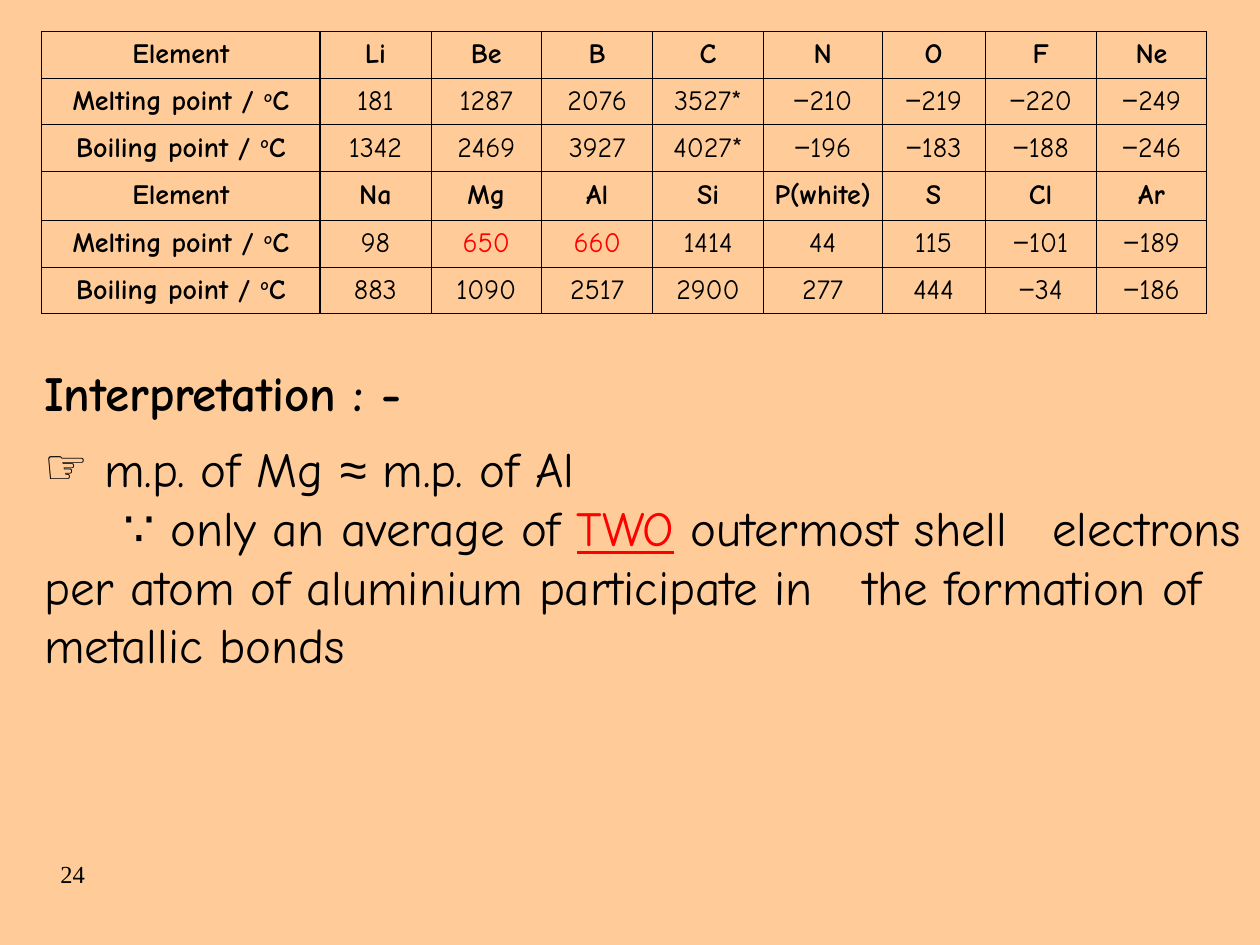
from dataclasses import dataclass

import lxml.etree
import pptx
import pptx.dml.color
import pptx.enum.text
import pptx.oxml.ns
import pptx.util

Pt = pptx.util.Pt
qn = pptx.oxml.ns.qn
HUES = {"paper": "FFCC99", "ink": "000000", "mark": "FF0000"}
FACE = "Comic Neue"
WIDE, THIN = 0.75, 0.45
COLS = [159.12, *[63.36] * 4, 67.68, 59.04, 63.36, 63.36]
ROWS = [26.64, 26.64, 26.64, 28.08, 26.64, 26.64]
DATA = [
    ["Element", "Li", "Be", "B", "C", "N", "O", "F", "Ne"],
    ["Melting", "181", "1287", "2076", "3527*", "−210", "−219", "−220", "−249"],
    ["Boiling", "1342", "2469", "3927", "4027*", "−196", "−183", "−188", "−246"],
    ["Element", "Na", "Mg", "Al", "Si", "P(white)", "S", "Cl", "Ar"],
    ["Melting", "98", "650", "660", "1414", "44", "115", "−101", "−189"],
    ["Boiling", "883", "1090", "2517", "2900", "277", "444", "−34", "−186"],
]
MARKED = {"650", "660"}


@dataclass
class Span:
    text: str
    size: float = 28
    face: str = FACE
    hue: str = "ink"
    bold: bool = False
    line: bool = False
    lift: bool = False


def write(para, spans: list[Span]) -> None:
    para.space_before = Pt(0)
    for span in spans:
        run = para.add_run()
        run.text = span.text
        font = run.font
        font.size, font.name = Pt(span.size), span.face
        font.bold, font.underline = span.bold, span.line
        font.color.rgb = pptx.dml.color.RGBColor.from_string(HUES[span.hue])
        if span.lift:
            run._r.get_or_add_rPr().set("baseline", "30000")


def place(shape, left: float, top: float, width: float, height: float) -> None:
    """Move the shape and set its text to wrap from the top."""
    shape.left, shape.top = Pt(left), Pt(top)
    shape.width, shape.height = Pt(width), Pt(height)
    frame = shape.text_frame
    frame.word_wrap = True
    frame.vertical_anchor = pptx.enum.text.MSO_ANCHOR.TOP
    frame.auto_size = pptx.enum.text.MSO_AUTO_SIZE.NONE


def indent(para, sign: str = "") -> None:
    """Set a flush paragraph with its bullet sign and tab stops."""
    para.alignment = pptx.enum.text.PP_ALIGN.LEFT
    props = para._p.get_or_add_pPr()
    props.set("marL", "0")
    props.set("indent", "0")
    if sign:
        tint = lxml.etree.SubElement(props, qn("a:buClr"))
        lxml.etree.SubElement(tint, qn("a:srgbClr"), val=HUES["ink"])
        lxml.etree.SubElement(props, qn("a:buChar"), char=sign)
    else:
        lxml.etree.SubElement(props, qn("a:buNone"))
    stops = lxml.etree.SubElement(props, qn("a:tabLst"))
    for stop in [35.28, *range(72, 72 * 9, 72)]:
        lxml.etree.SubElement(stops, qn("a:tab"), pos=str(int(Pt(stop))), algn="l")


def edge(cell, side: str, width: float) -> None:
    line = lxml.etree.SubElement(
        cell._tc.get_or_add_tcPr(), qn("a:ln" + side), w=str(int(Pt(width))))
    fill = lxml.etree.SubElement(line, qn("a:solidFill"))
    lxml.etree.SubElement(fill, qn("a:srgbClr"), val=HUES["ink"])


def split(text: str, bold: bool) -> list[Span]:
    """Turn a cell's text into its spans."""
    if text in ("Melting", "Boiling"):
        return [Span(text + " point / ", 16, bold=True),
                Span("o", 16, bold=True, lift=True), Span("C", 16, bold=True)]
    if text.startswith("−"):
        return [Span("−", 16, "Arial"), Span(text[1:], 16)]
    return [Span(text, 16, bold=bold, hue="mark" if text in MARKED else "ink")]


def chart(slide) -> None:
    """Draw the table of melting and boiling points."""
    grid = slide.shapes.add_table(
        len(ROWS), len(COLS), Pt(23.76), Pt(18), Pt(sum(COLS)), Pt(sum(ROWS))).table
    grid.first_row = grid.horz_banding = False
    for col, width in zip(grid.columns, COLS):
        col.width = Pt(width)
    for row, height in zip(grid.rows, ROWS):
        row.height = Pt(height)
    for r, line in enumerate(DATA):
        for c, text in enumerate(line):
            cell = grid.cell(r, c)
            cell.margin_left = cell.margin_right = Pt(1.44)
            cell.vertical_anchor = pptx.enum.text.MSO_ANCHOR.MIDDLE
            para = cell.text_frame.paragraphs[0]
            para.alignment = pptx.enum.text.PP_ALIGN.CENTER
            write(para, split(text, r % 3 == 0))
            heavy = {"L": c < 2, "R": c in (0, len(COLS) - 1),
                     "T": r % 3 == 0, "B": r % 3 == 2}
            for side, thick in heavy.items():
                edge(cell, side, WIDE if thick else THIN)
            cell.fill.background()


def main() -> None:
    deck = pptx.Presentation()
    deck.slide_width, deck.slide_height = Pt(720), Pt(540)
    slide = deck.slides.add_slide(deck.slide_layouts[1])
    back = slide.background.fill
    back.solid()
    back.fore_color.rgb = pptx.dml.color.RGBColor.from_string(HUES["paper"])

    chart(slide)

    title = slide.shapes.title
    place(title, 18, 203.76, 329.76, 41.04)
    head = title.text_frame.paragraphs[0]
    write(head, [Span("Interpretation : -", bold=True)])
    indent(head)

    body = slide.placeholders[1]
    place(body, 18, 246.96, 702, 141.84)
    point = body.text_frame.paragraphs[0]
    write(point, [Span(" m.p. of Mg "), Span("≈", face="Arial"), Span(" m.p. of Al")])
    indent(point, "☞")
    cause = body.text_frame.add_paragraph()
    write(cause, [
        Span("\t ∵ only an average of "),
        Span("TWO", hue="mark", line=True),
        Span(" outermost shell \telectrons per atom of aluminium participate in "
             "\tthe formation of metallic bonds"),
    ])
    indent(cause)

    page = slide.shapes.add_textbox(0, 0, 0, 0)
    place(page, 27.36, 487.44, 102.24, 36)
    write(page.text_frame.paragraphs[0], [Span("24", 14, "Times New Roman")])

    deck.save("out.pptx")


if __name__ == "__main__":
    main()
